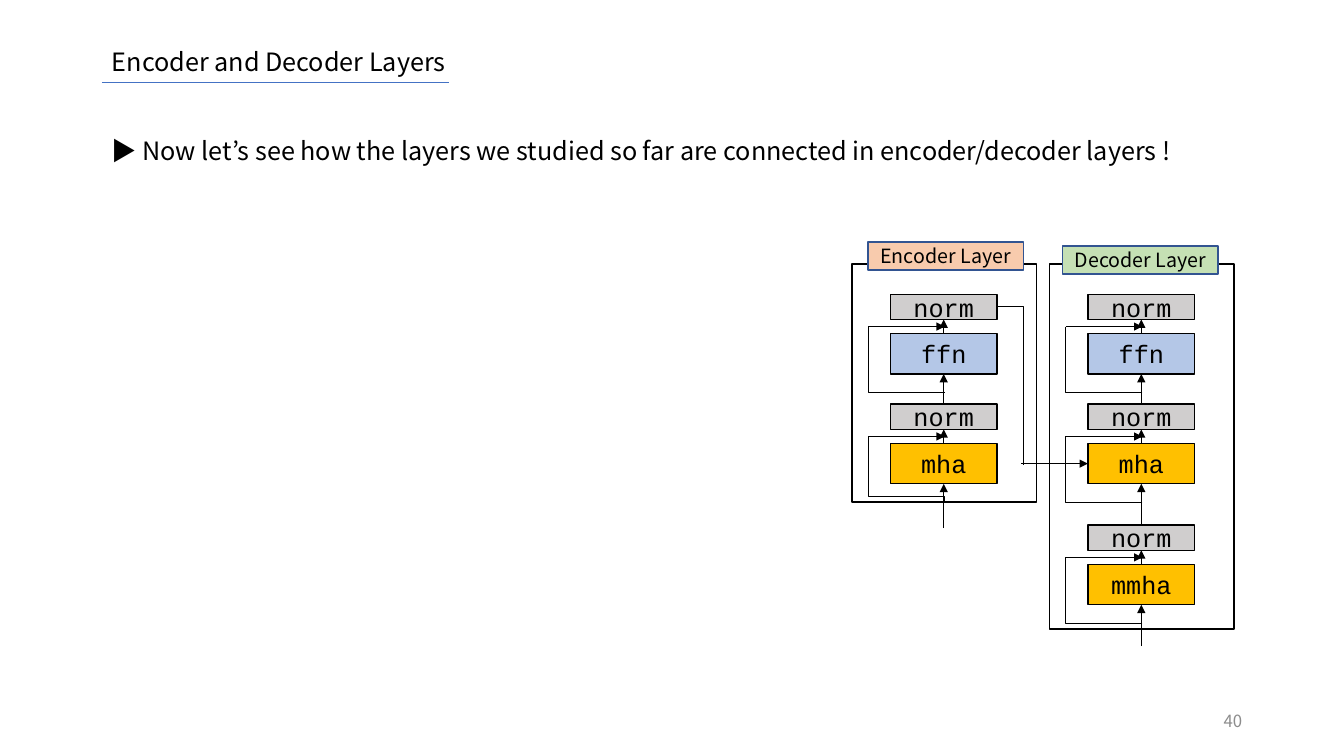
from pptx import Presentation
from pptx import util as u
from pptx.dml.color import RGBColor
from pptx.enum import shapes, text
from pptx.oxml.ns import qn
from lxml import etree

PX = 9144  # 100 px to the inch

BLACK = RGBColor(0x00, 0x00, 0x00)
WHITE = RGBColor(0xFF, 0xFF, 0xFF)
GRAY = RGBColor(0x8C, 0x8C, 0x8C)
RULE_BLUE = RGBColor(0x44, 0x72, 0xC4)
TAB_BLUE = RGBColor(0x32, 0x54, 0x91)
ORANGE = RGBColor(0xF8, 0xCB, 0xAD)
GREEN = RGBColor(0xC5, 0xE0, 0xB4)
AMBER = RGBColor(0xFF, 0xC0, 0x00)
BLUE = RGBColor(0xB4, 0xC7, 0xE7)
NORM_GRAY = RGBColor(0xD0, 0xCE, 0xCE)

SANS = "Noto Sans CJK KR"
MONO = "Courier New"

FRAME_W, BLOCK_W, BLOCK_H, NORM_H = 183, 106, 40, 25
BLOCK_X, SKIP_X = 38, 16          # from the left of a layer's frame
BLOCK_Y, SKIP_Y = 39, 32          # from the top of a sublayer's norm
SKIP_W, SKIP_H = 76, 65

# Sublayers from the top down: name, fill, top of the norm above it
FFN = ("ffn", BLUE, 292)
MHA = ("mha", AMBER, 401)
MMHA = ("mmha", AMBER, 521)


def emu(*lengths):
    return [round(length * PX) for length in lengths]


def write(frame, words, size, font, color=BLACK,
          align=text.PP_ALIGN.LEFT, anchor=text.MSO_ANCHOR.TOP):
    frame.word_wrap = True
    frame.auto_size = text.MSO_AUTO_SIZE.NONE
    frame.vertical_anchor = anchor
    paragraph = frame.paragraphs[0]
    paragraph.alignment = align
    run = paragraph.add_run()
    run.text = words
    run.font.size = u.Pt(size)
    run.font.name = font
    run.font.color.rgb = color
    latin = run.font._element.find(qn("a:latin"))
    east_asian = etree.Element(qn("a:ea"), typeface=font)
    latin.addnext(east_asian)


def rectangle(slide, box, fill, line=BLACK, words=None, size=18, font=MONO):
    rect = slide.shapes.add_shape(shapes.MSO_SHAPE.RECTANGLE, *emu(*box))
    rect.shadow.inherit = False
    rect.fill.solid()
    rect.fill.fore_color.rgb = fill
    rect.line.color.rgb = line
    rect.line.width = u.Pt(1)
    if words:
        write(rect.text_frame, words, size, font,
              align=text.PP_ALIGN.CENTER, anchor=text.MSO_ANCHOR.MIDDLE)
    return rect


def line(slide, start, end, color=BLACK, arrow=False):
    connector = slide.shapes.add_connector(
        shapes.MSO_CONNECTOR.STRAIGHT, *emu(*start, *end))
    connector.line.color.rgb = color
    connector.line.width = u.Pt(0.5)
    etree.SubElement(connector._element.spPr, qn("a:effectLst"))
    if arrow:
        etree.SubElement(connector.line._get_or_add_ln(),
                         qn("a:tailEnd"), type="triangle")
    return connector


def bend(connector, preset, adjustments=()):
    """Turn a straight connector into a bent one."""
    geometry = connector._element.spPr.find(qn("a:prstGeom"))
    geometry.set("prst", preset)
    guides = geometry.find(qn("a:avLst"))
    if guides is None:
        guides = etree.SubElement(geometry, qn("a:avLst"))
    for number, share in enumerate(adjustments, 1):
        etree.SubElement(guides, qn("a:gd"), name=f"adj{number}",
                         fmla=f"val {round(share * 100000)}")


def skip_path(slide, left, top, rise):
    """Residual path: up by rise, left, up, then an arrow back to the middle."""
    middle_x, middle_y = left + SKIP_W / 2, top + SKIP_H / 2
    # The box lies on its side and is turned a quarter
    detour = line(slide,
                  (middle_x - SKIP_H / 2, middle_y - SKIP_W / 2),
                  (middle_x + SKIP_H / 2, middle_y + SKIP_W / 2))
    transform = detour._element.spPr.find(qn("a:xfrm"))
    transform.set("rot", "5400000")
    transform.set("flipH", "1")
    bend(detour, "bentConnector4", (rise / SKIP_H, 1))
    line(slide, (left, top), (left + SKIP_W, top), arrow=True)


def layer(slide, box, tab, name, tab_fill, sublayers, input_y, input_rise=0):
    """Draw a layer in its box; return its blocks from the top down."""
    left, top, width, height = box
    tab_x, tab_y = tab
    rectangle(slide, box, WHITE)
    rectangle(slide, (left + tab_x, top + tab_y, 154, 28), tab_fill,
              TAB_BLUE, name, 14, SANS)

    blocks = []
    for words, fill, norm_top in sublayers:
        x = left + BLOCK_X
        blocks.append(rectangle(slide, (x, norm_top, BLOCK_W, NORM_H),
                                NORM_GRAY, words="norm"))
        blocks.append(rectangle(slide, (x, norm_top + BLOCK_Y, BLOCK_W, BLOCK_H),
                                fill, words=words))

    center = left + BLOCK_X + BLOCK_W // 2
    for upper, lower in zip(blocks, blocks[1:]):
        step = line(slide, (center, top), (center, top), arrow=True)
        step.begin_connect(lower, 0)
        step.end_connect(upper, 2)
    layer_input = line(slide, (center, input_y), (center, top), arrow=True)
    layer_input.end_connect(blocks[-1], 2)

    for sublayer in sublayers:
        rise = input_rise if sublayer is sublayers[-1] else 0
        skip_path(slide, left + SKIP_X, sublayer[2] + SKIP_Y, rise)
    return blocks


def encoder_to_decoder(slide, decoder_mha):
    bend(line(slide, (989, 304), (1015, 461)), "bentConnector2")
    feed = line(slide, (1013, 460), (1079, 460), arrow=True)
    feed.end_connect(decoder_mha, 1)


def heading(slide, box):
    left, top, width, height = box
    title = slide.shapes.title
    title.left, title.top, title.width, title.height = emu(*box)
    write(title.text_frame, "Encoder and Decoder Layers", 18, SANS)
    line(slide, (left, top + 41), (left + 344, top + 41), RULE_BLUE)


def note(slide, box, words, size, **style):
    label = slide.shapes.add_textbox(*emu(*box))
    write(label.text_frame, words, size, SANS, **style)


def main():
    deck = Presentation()
    deck.slide_width, deck.slide_height = emu(1333, 750)
    slide = deck.slides.add_slide(deck.slide_layouts[5])

    heading(slide, (101, 41, 456, 40))
    note(slide, (101, 129, 1182, 40),
         "▶ Now let’s see how the layers we studied so far are connected "
         "in encoder/decoder layers !", 18)
    layer(slide, (845, 262, FRAME_W, 236), (16, -22), "Encoder Layer",
          ORANGE, (FFN, MHA), 524, input_rise=6)
    decoder = layer(slide, (1041, 262, FRAME_W, 362), (13, -18),
                    "Decoder Layer", GREEN, (FFN, MHA, MMHA), 641)
    encoder_to_decoder(slide, decoder[3])
    note(slide, (942, 695, 300, 40), "40", 12, color=GRAY,
         align=text.PP_ALIGN.RIGHT, anchor=text.MSO_ANCHOR.MIDDLE)

    deck.save("out.pptx")


if __name__ == "__main__":
    main()
